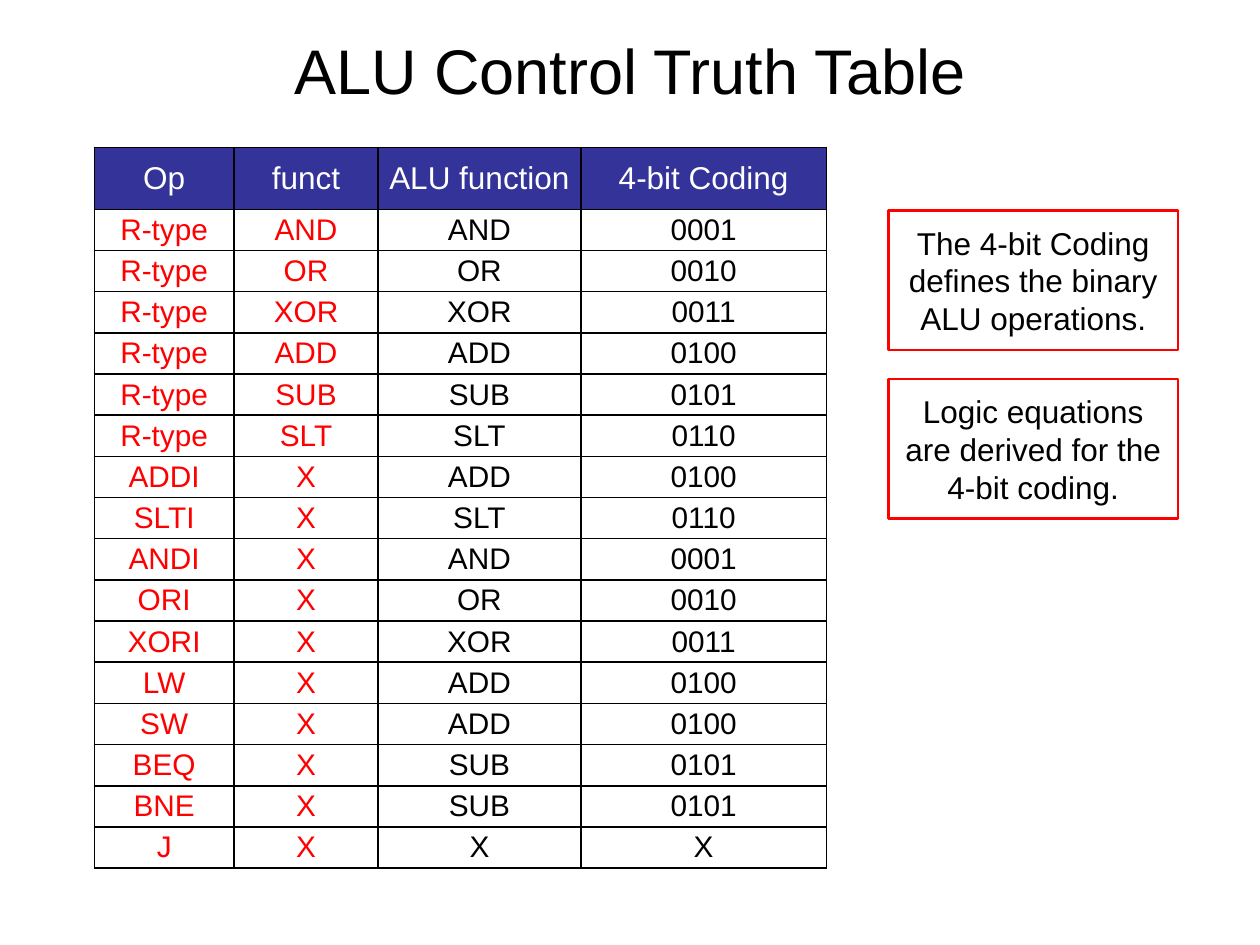
import pptx
import pptx.util
import pptx.dml.color
import pptx.enum.shapes
import pptx.enum.text
import pptx.oxml
import pptx.oxml.ns
from pptx.util import Cm, Pt

BLACK, WHITE, RED, NAVY = "000000", "FFFFFF", "FF0000", "333399"

HEADERS = ["Op", "funct", "ALU function", "4-bit Coding"]
CODING = {"AND": "0001", "OR": "0010", "XOR": "0011", "ADD": "0100",
          "SUB": "0101", "SLT": "0110", "X": "X"}
R_TYPE = ["AND", "OR", "XOR", "ADD", "SUB", "SLT"]
OTHER_OPS = {"ADDI": "ADD", "SLTI": "SLT", "ANDI": "AND", "ORI": "OR",
             "XORI": "XOR", "LW": "ADD", "SW": "ADD", "BEQ": "SUB",
             "BNE": "SUB", "J": "X"}
COLUMN_WIDTHS = [2.82, 2.9, 4.09, 4.95]
HEADER_HEIGHT, ROW_HEIGHT = 1.25, 0.83

NOTES = ["The 4-bit Coding defines the binary ALU operations.",
         "Logic equations are derived for the 4-bit coding."]


def rgb(value):
    return pptx.dml.color.RGBColor.from_string(value)


def write(tf, text, size, color):
    """Put one centred paragraph into a text frame."""
    tf.text = text
    tf.word_wrap = True
    tf.vertical_anchor = pptx.enum.text.MSO_ANCHOR.MIDDLE
    p = tf.paragraphs[0]
    p.alignment = pptx.enum.text.PP_ALIGN.CENTER
    p.font.name = "Arial"
    p.font.size = Pt(size)
    p.font.color.rgb = rgb(color)


def add_title(s, text):
    title = s.shapes.title
    title.left, title.top = Cm(1.27), Cm(0)
    title.width, title.height = Cm(22.86), Cm(2.79)
    write(title.text_frame, text, 36, BLACK)


def set_borders(cell, color, width):
    """Line all four sides; borders must precede the fill in tcPr."""
    tc_pr = cell._tc.get_or_add_tcPr()
    for i, side in enumerate(("lnL", "lnR", "lnT", "lnB")):
        tc_pr.insert(i, pptx.oxml.parse_xml(
            f'<a:{side} {pptx.oxml.ns.nsdecls("a")} w="{Pt(width)}">'
            f'<a:solidFill><a:srgbClr val="{color}"/></a:solidFill></a:{side}>'))


def format_cell(cell, text, size, color, fill=None):
    write(cell.text_frame, text, size, color)
    cell.vertical_anchor = pptx.enum.text.MSO_ANCHOR.MIDDLE
    cell.margin_left = cell.margin_right = Cm(0.08)
    cell.margin_top = cell.margin_bottom = Cm(0.05)
    if fill:
        cell.fill.solid()
        cell.fill.fore_color.rgb = rgb(fill)
    else:
        cell.fill.background()
    set_borders(cell, BLACK, 1)


def add_truth_table(s, left, top):
    rows = [("R-type", f, f, CODING[f]) for f in R_TYPE]
    rows += [(op, "X", f, CODING[f]) for op, f in OTHER_OPS.items()]
    height = HEADER_HEIGHT + ROW_HEIGHT * len(rows)
    table = s.shapes.add_table(len(rows) + 1, len(HEADERS), Cm(left), Cm(top),
                               Cm(sum(COLUMN_WIDTHS)), Cm(height)).table
    table.first_row = table.horz_banding = False
    for column, width in zip(table.columns, COLUMN_WIDTHS):
        column.width = Cm(width)
    for i, row in enumerate(table.rows):
        row.height = Cm(ROW_HEIGHT if i else HEADER_HEIGHT)

    for j, text in enumerate(HEADERS):
        format_cell(table.cell(0, j), text, 18, WHITE, NAVY)
    # Inputs (first two columns) are red, outputs black
    for i, values in enumerate(rows, 1):
        for j, text in enumerate(values):
            format_cell(table.cell(i, j), text, 17, RED if j < 2 else BLACK)


def add_note(s, text, left, top):
    sp = s.shapes.add_shape(pptx.enum.shapes.MSO_SHAPE.RECTANGLE,
                            Cm(left), Cm(top), Cm(5.84), Cm(2.82))
    sp.shadow.inherit = False
    sp.fill.background()
    sp.line.color.rgb = rgb(RED)
    sp.line.width = Pt(1.5)
    write(sp.text_frame, text, 18, BLACK)


def main():
    prs = pptx.Presentation()
    prs.slide_width, prs.slide_height = Cm(25.4), Cm(19.05)
    s = prs.slides.add_slide(prs.slide_layouts[5])  # title only

    add_title(s, "ALU Control Truth Table")
    add_truth_table(s, 1.9, 2.97)
    # Notes stacked to the right of the table
    for i, text in enumerate(NOTES):
        add_note(s, text, 17.91, 4.24 + 3.4 * i)

    prs.save("out.pptx")


if __name__ == "__main__":
    main()
